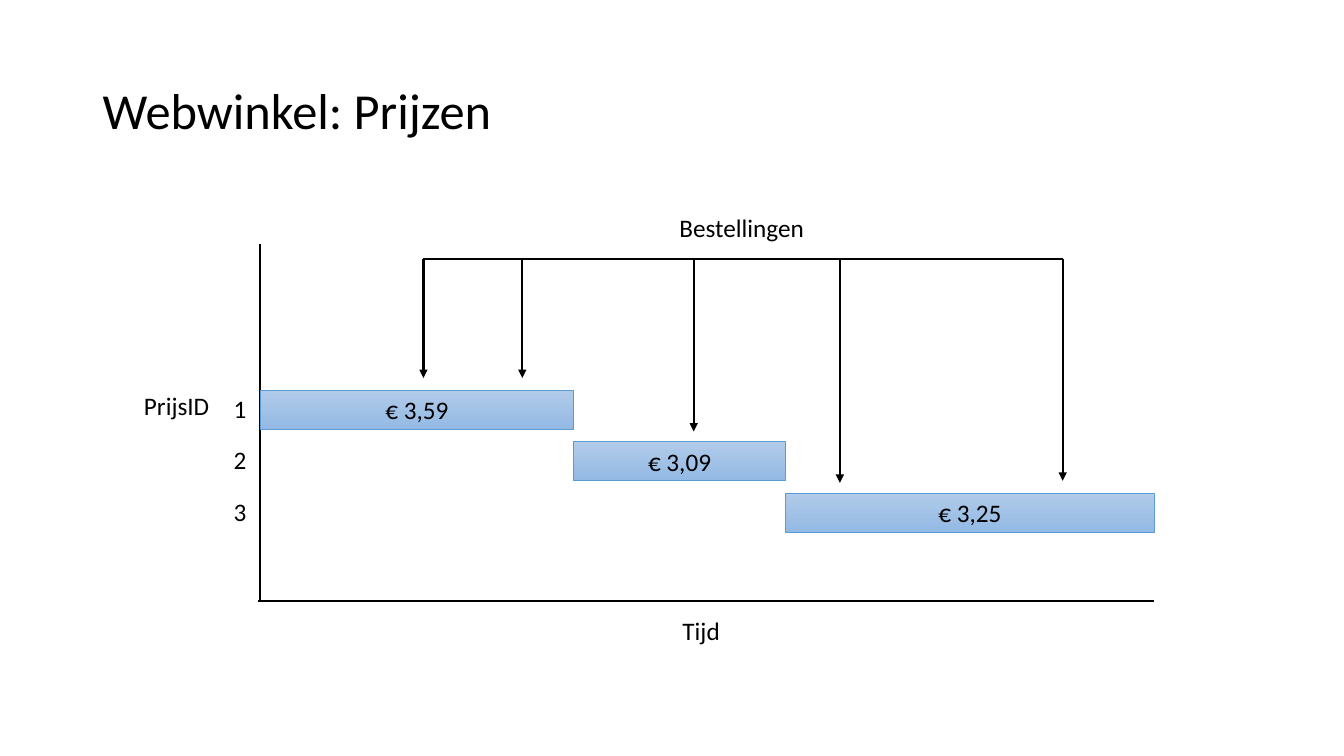
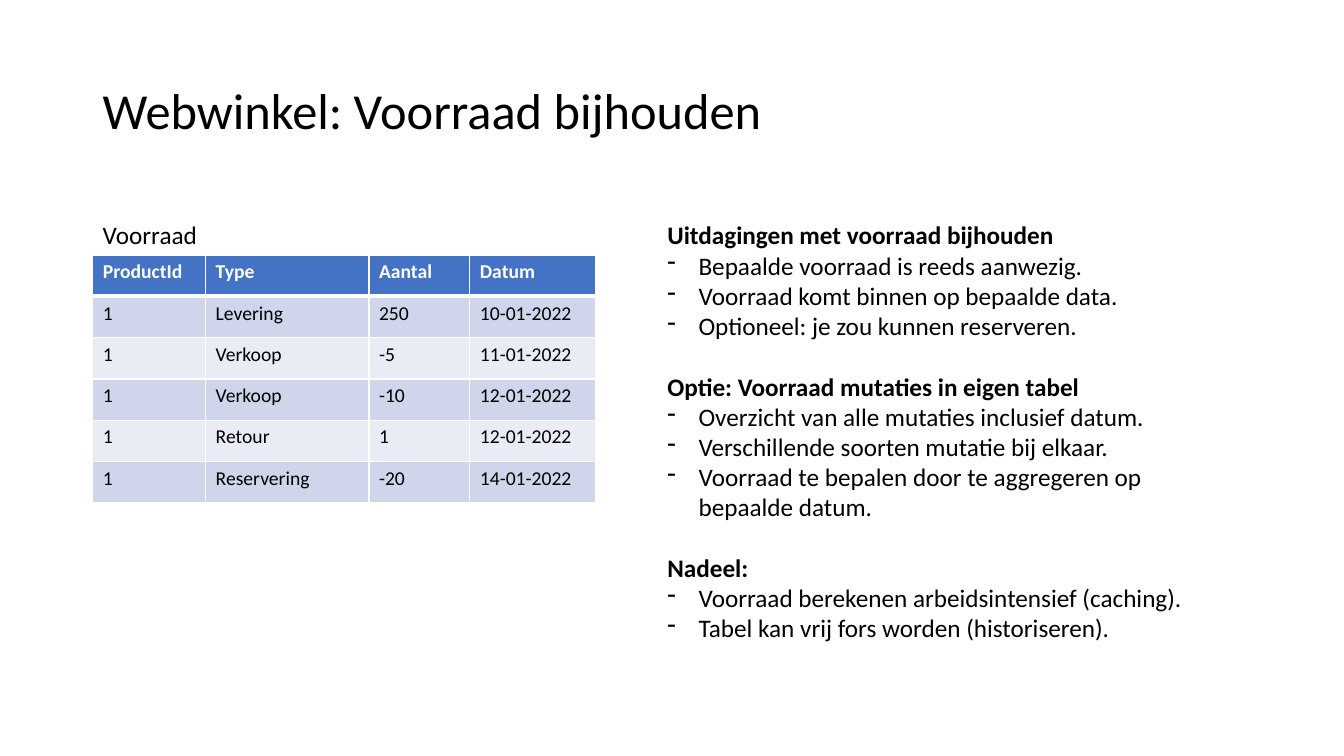
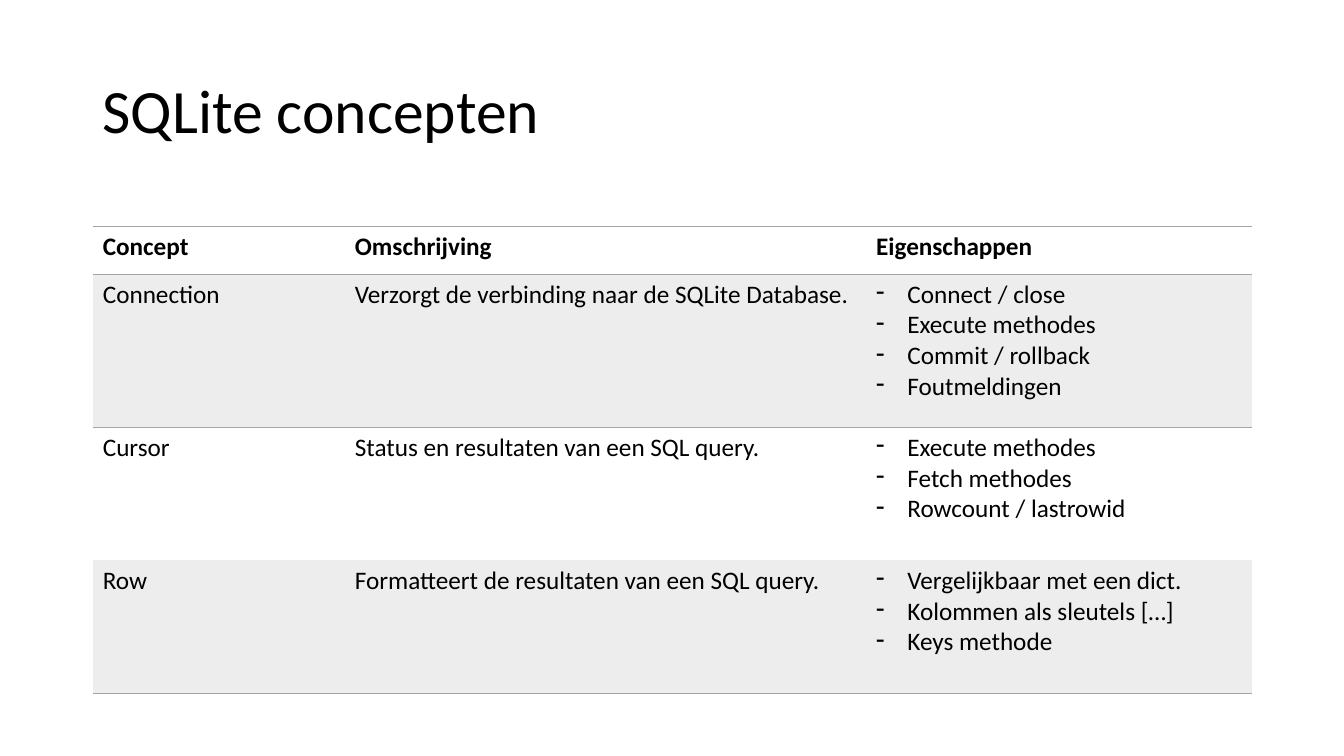
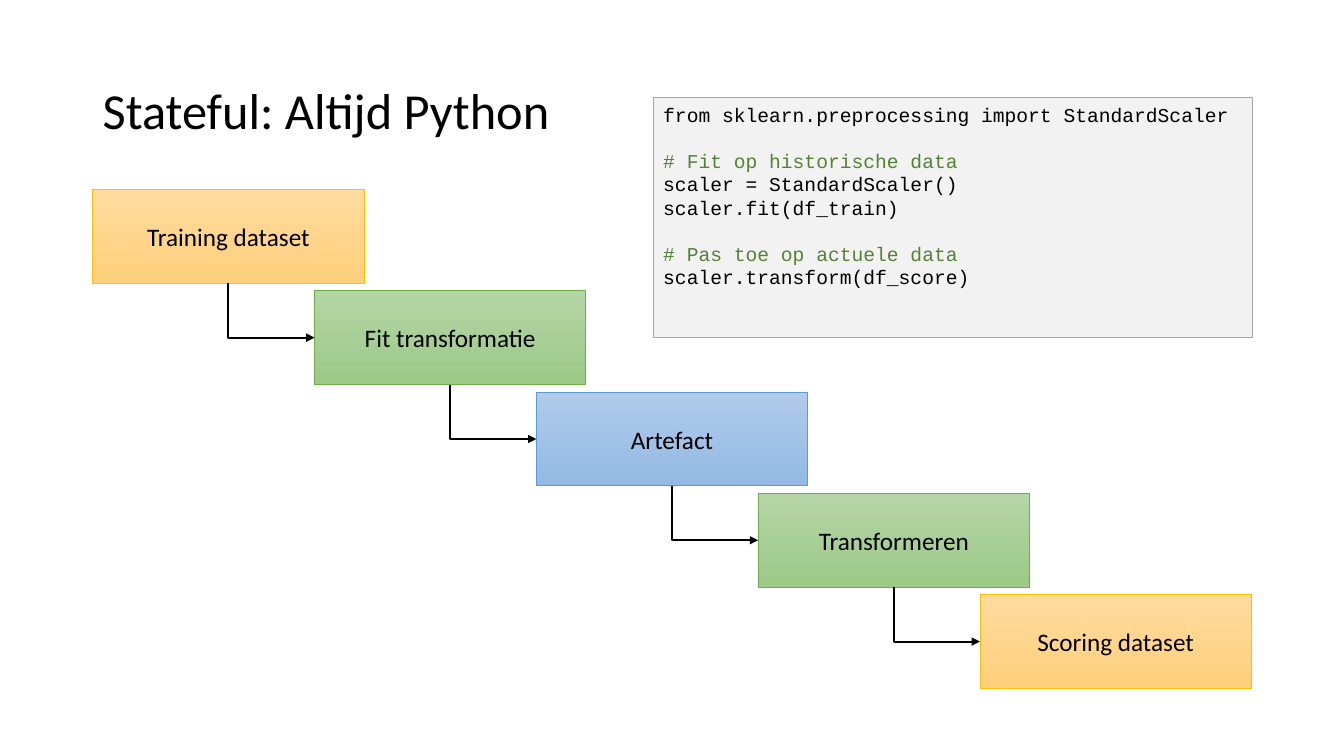
from dataclasses import dataclass

from lxml import etree
from pptx import Presentation
from pptx import util as u
from pptx.dml.color import RGBColor
from pptx.enum import shapes, text
from pptx.oxml.ns import qn

BLACK = RGBColor(0x00, 0x00, 0x00)
WHITE = RGBColor(0xFF, 0xFF, 0xFF)
GREY = RGBColor(0xA5, 0xA5, 0xA5)
BAND_GREY = RGBColor(0xED, 0xED, 0xED)
CODE_GREY = RGBColor(0xF2, 0xF2, 0xF2)
COMMENT_GREEN = RGBColor(0x54, 0x82, 0x35)
HEADER_BLUE = RGBColor(0x44, 0x72, 0xC4)
BAND_DARK = RGBColor(0xCF, 0xD5, 0xEA)
BAND_LIGHT = RGBColor(0xE9, 0xEB, 0xF5)
BLUE = (RGBColor(0xB1, 0xCB, 0xE9), RGBColor(0x93, 0xB9, 0xE4), RGBColor(0x5B, 0x9B, 0xD5))
GREEN = (RGBColor(0xB5, 0xD5, 0xA7), RGBColor(0x9C, 0xC9, 0x87), RGBColor(0x70, 0xAD, 0x47))
YELLOW = (RGBColor(0xFF, 0xDB, 0x9E), RGBColor(0xFF, 0xD0, 0x7C), RGBColor(0xFF, 0xC0, 0x00))
PLAIN_TABLE = "{2D5ABB26-0587-4C30-8999-92F81FD0307C}"
MARGIN = 0.92


@dataclass
class Line:
    words: str
    bold: bool = False
    bullet: bool = False
    before: float = 0
    color: RGBColor = BLACK


def bullets(*items):
    return [Line(item, bullet=True) for item in items]


class Deck:
    font = "Calibri"
    code_font = "Courier New"
    size = 18

    def __init__(self):
        self.prs = Presentation()
        self.prs.slide_width = u.Inches(13.33)
        self.prs.slide_height = u.Inches(7.5)
        self.slide = None

    def add_slide(self, title, size=36):
        self.slide = self.prs.slides.add_slide(self.prs.slide_layouts[6])
        frame = self.text([Line(title)], MARGIN, 0.4, 11.5, 1.45, size=size)
        frame.vertical_anchor = text.MSO_ANCHOR.MIDDLE
        frame.paragraphs[0].line_spacing = 0.9

    def fill_text(self, frame, lines, size=size, font=font, align=None):
        for number, line in enumerate(lines):
            paragraph = frame.add_paragraph() if number else frame.paragraphs[0]
            paragraph.text = line.words
            if line.bullet:
                props = paragraph._p.get_or_add_pPr()
                props.set("marL", str(u.Inches(0.31)))
                props.set("indent", str(-u.Inches(0.31)))
                etree.SubElement(props, qn("a:buChar")).set("char", "-")
            if line.before:
                paragraph.space_before = u.Pt(line.before)
            if align is not None:
                paragraph.alignment = align
            for run in paragraph.runs:
                run.font.name = font
                run.font.size = u.Pt(size)
                run.font.bold = line.bold
                run.font.color.rgb = line.color

    def text(self, lines, left, top, width, height, size=size, wrap=True):
        box = self.slide.shapes.add_textbox(*map(u.Inches, (left, top, width, height)))
        box.text_frame.word_wrap = wrap
        self.fill_text(box.text_frame, lines, size)
        return box.text_frame

    def label(self, words, left, top, width):
        self.text([Line(words)], left, top, width, 0.4, wrap=False)

    def rectangle(self, left, top, width, height, outline):
        shape = self.slide.shapes.add_shape(
            shapes.MSO_SHAPE.RECTANGLE, *map(u.Inches, (left, top, width, height)))
        shape.shadow.inherit = False
        shape.line.color.rgb = outline
        shape.line.width = u.Pt(0.5)
        return shape

    def block(self, words, left, top, width, height, palette):
        *shades, outline = palette
        shape = self.rectangle(left, top, width, height, outline)
        shape.fill.gradient()
        shape.fill.gradient_angle = 270
        for stop, shade in zip(shape.fill.gradient_stops, shades):
            stop.color.rgb = shade
        shape.text_frame.vertical_anchor = text.MSO_ANCHOR.MIDDLE
        self.fill_text(shape.text_frame, [Line(words)], align=text.PP_ALIGN.CENTER)
        return shape

    def code(self, lines, left, top, width, height):
        shape = self.rectangle(left, top, width, height, GREY)
        shape.fill.solid()
        shape.fill.fore_color.rgb = CODE_GREY
        shape.text_frame.vertical_anchor = text.MSO_ANCHOR.TOP
        self.fill_text(shape.text_frame, lines, 14, self.code_font, text.PP_ALIGN.LEFT)

    def style_line(self, connector, weight, arrow):
        connector.line.color.rgb = BLACK
        connector.line.width = u.Pt(weight)
        if arrow:
            etree.SubElement(connector.get_or_add_ln(), qn("a:tailEnd")).set("type", "triangle")
        etree.SubElement(connector.element.spPr, qn("a:effectLst"))

    def line(self, x1, y1, x2, y2, weight=1.5, arrow=False):
        connector = self.slide.shapes.add_connector(
            shapes.MSO_CONNECTOR.STRAIGHT, *map(u.Inches, (x1, y1, x2, y2)))
        self.style_line(connector, weight, arrow)

    def elbow(self, source, target):
        x1, y1 = source.left + source.width // 2, source.top + source.height
        x2, y2 = target.left, target.top + target.height // 2
        across, down = x2 - x1, y2 - y1
        connector = self.slide.shapes.add_connector(
            shapes.MSO_CONNECTOR.ELBOW, x1, y1, x2, y2)
        connector.begin_connect(source, 2)
        connector.end_connect(target, 1)
        connector.left = (x1 + x2 - down) // 2
        connector.top = (y1 + y2 - across) // 2
        connector.width, connector.height = down, across
        props = connector.element.spPr
        frame = props.find(qn("a:xfrm"))
        frame.set("rot", "16200000")
        frame.set("flipH", "1")
        props.find(qn("a:prstGeom")).set("prst", "bentConnector2")
        self.style_line(connector, 1.5, True)

    def table(self, rows, left, top, widths, heights, size, fills, borders):
        grid = self.slide.shapes.add_table(
            len(rows), len(widths),
            *map(u.Inches, (left, top, sum(widths), sum(heights)))).table
        grid.first_row = grid.horz_banding = False
        grid._tbl.tblPr.find(qn("a:tableStyleId")).text = PLAIN_TABLE
        for column, width in zip(grid.columns, widths):
            column.width = u.Inches(width)
        for r, (row, height) in enumerate(zip(rows, heights)):
            grid.rows[r].height = u.Inches(height)
            for c, lines in enumerate(row):
                cell = grid.cell(r, c)
                self.fill_text(cell.text_frame, lines, size)
                for side, (color, weight) in borders(r).items():
                    self.border(cell, side, color, weight)
                if fills[r] is None:
                    cell.fill.background()
                else:
                    cell.fill.solid()
                    cell.fill.fore_color.rgb = fills[r]

    def border(self, cell, side, color, weight):
        edge = etree.SubElement(cell._tc.get_or_add_tcPr(), qn(f"a:ln{side}"))
        edge.set("w", str(u.Pt(weight)))
        fill = etree.SubElement(edge, qn("a:solidFill"))
        etree.SubElement(fill, qn("a:srgbClr")).set("val", str(color))


def prices(deck):
    deck.add_slide("Webwinkel: Prijzen")
    axis_x, axis_y, end_x = 2.58, 5.96, 11.45
    deck.line(axis_x, 2.42, axis_x, axis_y)
    deck.line(axis_x - 0.02, axis_y, end_x, axis_y)
    deck.label("Tijd", 6.67, 6.06, 0.58)
    deck.label("PrijsID", 1.33, 3.82, 0.97)

    periods = [("€ 3,59", axis_x, 5.69), ("€ 3,09", 5.69, 7.79), ("€ 3,25", 7.79, end_x)]
    for row, (price, start, end) in enumerate(periods):
        top = 3.87 + row * 0.51
        deck.block(price, start, top, end - start, 0.39, BLUE)
        deck.label(str(row + 1), 2.22, top - 0.02, 0.33)

    orders = [(4.2, 3.75), (5.18, 3.75), (6.88, 4.28), (8.33, 4.79), (10.54, 4.77)]
    rail = 2.57
    deck.label("Bestellingen", 6.64, 2.06, 1.45)
    for moment, tip in orders:
        deck.line(moment, rail, moment, tip, arrow=True)
    deck.line(orders[0][0], rail, orders[-1][0], rail, weight=1)


def stock(deck):
    deck.add_slide("Webwinkel: Voorraad bijhouden")
    header = ["ProductId", "Type", "Aantal", "Datum"]
    mutations = [
        ["1", "Levering", "250", "10-01-2022"],
        ["1", "Verkoop", "-5", "11-01-2022"],
        ["1", "Verkoop", "-10", "12-01-2022"],
        ["1", "Retour", "1", "12-01-2022"],
        ["1", "Reservering", "-20", "14-01-2022"],
    ]
    rows = [[[Line(name, bold=True, color=WHITE)] for name in header]]
    rows += [[[Line(value)] for value in mutation] for mutation in mutations]

    def borders(row):
        return {side: (WHITE, 3 if (row, side) in ((0, "B"), (1, "T")) else 1)
                for side in "LRTB"}

    deck.table(rows, MARGIN, 2.53, [1.12, 1.62, 1, 1.25], [0.41] * len(rows), 14,
               [HEADER_BLUE] + [BAND_DARK, BAND_LIGHT] * 2 + [BAND_DARK], borders)
    deck.label("Voorraad", MARGIN, 2.13, 1.15)

    gap = 21.6
    deck.text([
        Line("Uitdagingen met voorraad bijhouden", bold=True),
        *bullets("Bepaalde voorraad is reeds aanwezig.",
                 "Voorraad komt binnen op bepaalde data.",
                 "Optioneel: je zou kunnen reserveren."),
        Line("Optie: Voorraad mutaties in eigen tabel", bold=True, before=gap),
        *bullets("Overzicht van alle mutaties inclusief datum.",
                 "Verschillende soorten mutatie bij elkaar.",
                 "Voorraad te bepalen door te aggregeren op bepaalde datum."),
        Line("Nadeel:", bold=True, before=gap),
        *bullets("Voorraad berekenen arbeidsintensief (caching).",
                 "Tabel kan vrij fors worden (historiseren)."),
    ], 6.52, 2.13, 5.82, 4.34)


def concepts(deck):
    deck.add_slide("SQLite concepten", size=44)
    header = ["Concept", "Omschrijving", "Eigenschappen"]
    entries = [
        ("Connection", "Verzorgt de verbinding naar de SQLite Database.",
         ["Connect / close", "Execute methodes", "Commit / rollback", "Foutmeldingen"]),
        ("Cursor", "Status en resultaten van een SQL query.",
         ["Execute methodes", "Fetch methodes", "Rowcount / lastrowid"]),
        ("Row", "Formatteert de resultaten van een SQL query.",
         ["Vergelijkbaar met een dict.", "Kolommen als sleutels […]", "Keys methode"]),
    ]
    rows = [[[Line(name, bold=True)] for name in header]]
    rows += [[[Line(concept)], [Line(description)], bullets(*features)]
             for concept, description, features in entries]
    rule = (GREY, 1)
    rules = {0: {"T": rule, "B": rule}, 1: {"T": rule}, len(entries): {"B": rule}}
    deck.table(rows, MARGIN, 2.25, [2.5, 5.17, 3.83], [0.47, 1.52, 1.32, 1.32], 18,
               [None, BAND_GREY, None, BAND_GREY], lambda row: rules.get(row, {}))


def stateful(deck):
    deck.add_slide("Stateful: Altijd Python")
    steps = [("Training dataset", YELLOW), ("Fit transformatie", GREEN), ("Artefact", BLUE),
             ("Transformeren", GREEN), ("Scoring dataset", YELLOW)]
    first_top, last_top = 1.88, 5.9
    drop = (last_top - first_top) / (len(steps) - 1)
    stairs = [deck.block(step, MARGIN + 2.2 * i, first_top + drop * i, 2.69, 0.93, palette)
              for i, (step, palette) in enumerate(steps)]
    for source, target in zip(stairs, stairs[1:]):
        deck.elbow(source, target)

    gap = 16
    deck.code([
        Line("from sklearn.preprocessing import StandardScaler"),
        Line("# Fit op historische data", before=gap, color=COMMENT_GREEN),
        Line("scaler = StandardScaler()"),
        Line("scaler.fit(df_train)"),
        Line("# Pas toe op actuele data", before=gap, color=COMMENT_GREEN),
        Line("scaler.transform(df_score)"),
    ], 6.48, 0.97, 5.94, 2.38)


def main():
    deck = Deck()
    for build in (prices, stock, concepts, stateful):
        build(deck)
    deck.prs.save("out.pptx")


if __name__ == "__main__":
    main()
